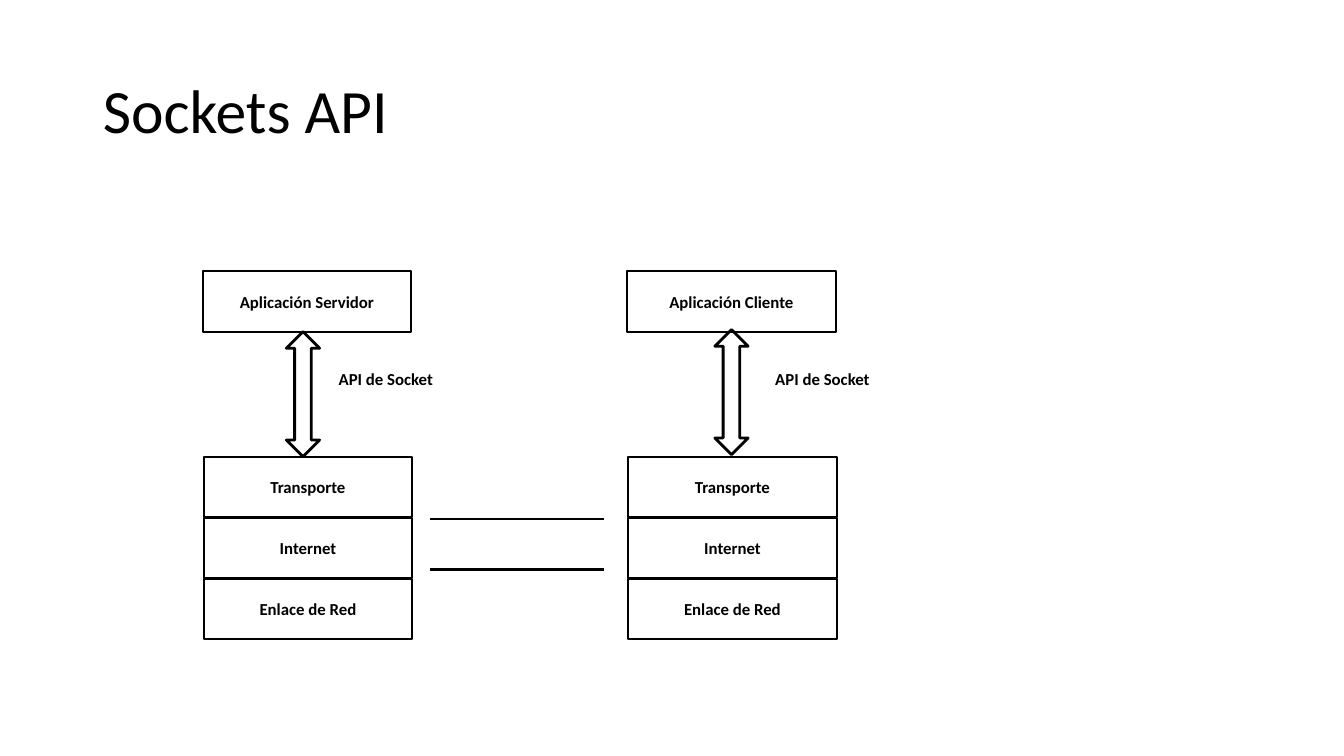
from lxml.etree import SubElement
from pptx import Presentation
from pptx.dml.color import RGBColor
from pptx.enum.shapes import MSO_CONNECTOR as Connector, MSO_SHAPE as Shape
from pptx.enum.text import MSO_ANCHOR as Anchor, PP_ALIGN as Align
from pptx.oxml.ns import qn
from pptx.util import Inches, Pt


def color(value):
    return RGBColor.from_string(value)


class Diagram:
    FONT = "Calibri"
    INK = "000000"

    def __init__(self, deck):
        self.page = deck.slides.add_slide(deck.slide_layouts[5])

    def set_text(self, frame, text, size, bold, align):
        frame.text = text
        frame.word_wrap = True
        para = frame.paragraphs[0]
        para.alignment = align
        font = para.runs[0].font
        font.name, font.size, font.bold = self.FONT, Pt(size), bold
        font.color.rgb = color(self.INK)
        return para

    def outline(self, item, width):
        item.line.color.rgb = color(self.INK)
        item.line.width = Pt(width)

    def title(self, text):
        box = self.page.shapes.title
        box.left, box.top = Inches(0.92), Inches(0.4)
        box.width, box.height = Inches(11.5), Inches(1.45)
        box.text_frame.vertical_anchor = Anchor.MIDDLE
        para = self.set_text(box.text_frame, text, 44, False, Align.LEFT)
        para.line_spacing = 0.9

    def shape(self, kind, left, top, width, height, line_width):
        item = self.page.shapes.add_shape(
            kind, Inches(left), Inches(top), Inches(width), Inches(height))
        item.shadow.inherit = False
        item.fill.background()
        self.outline(item, line_width)
        return item

    def layer(self, text, left, top):
        box = self.shape(Shape.RECTANGLE, left, top, 2.07, 0.6, 1.5)
        box.text_frame.vertical_anchor = Anchor.MIDDLE
        self.set_text(box.text_frame, text, 12, True, Align.CENTER)

    def double_arrow(self, left, top):
        arrow = self.shape(Shape.UP_DOWN_ARROW, left, top, 0.33, 1.24, 2)
        arrow.adjustments[0] = arrow.adjustments[1] = 0.5

    def label(self, text, left, top):
        box = self.page.shapes.add_textbox(
            Inches(left), Inches(top), Inches(1.49), Inches(0.3))
        self.set_text(box.text_frame, text, 12, True, Align.LEFT)

    def line(self, left, right, top):
        link = self.page.shapes.add_connector(
            Connector.STRAIGHT, Inches(left), Inches(top), Inches(right), Inches(top))
        self.outline(link, 1.5)
        SubElement(link._element.spPr, qn("a:effectLst"))


def main():
    deck = Presentation()
    deck.slide_width, deck.slide_height = Inches(13.33), Inches(7.5)
    diagram = Diagram(deck)
    diagram.title("Sockets API")

    # Server and client stacks: name, stack left, arrow left and top, label left
    stacks = [
        ("Aplicación Servidor", 2.02, 2.84, 3.29, 3.26),
        ("Aplicación Cliente", 6.23, 7.09, 3.27, 7.59),
    ]
    for name, left, arrow_left, arrow_top, label_left in stacks:
        for row, text in enumerate(["Transporte", "Internet", "Enlace de Red"]):
            diagram.layer(text, left, 4.53 + row * 0.605)
        diagram.layer(name, left - 0.01, 2.69)
        diagram.double_arrow(arrow_left, arrow_top)
        diagram.label("API de Socket", label_left, 3.61)

    # Links between the stacks
    for top in (5.15, 5.65):
        diagram.line(4.27, 5.99, top)

    deck.save("out.pptx")


if __name__ == "__main__":
    main()
